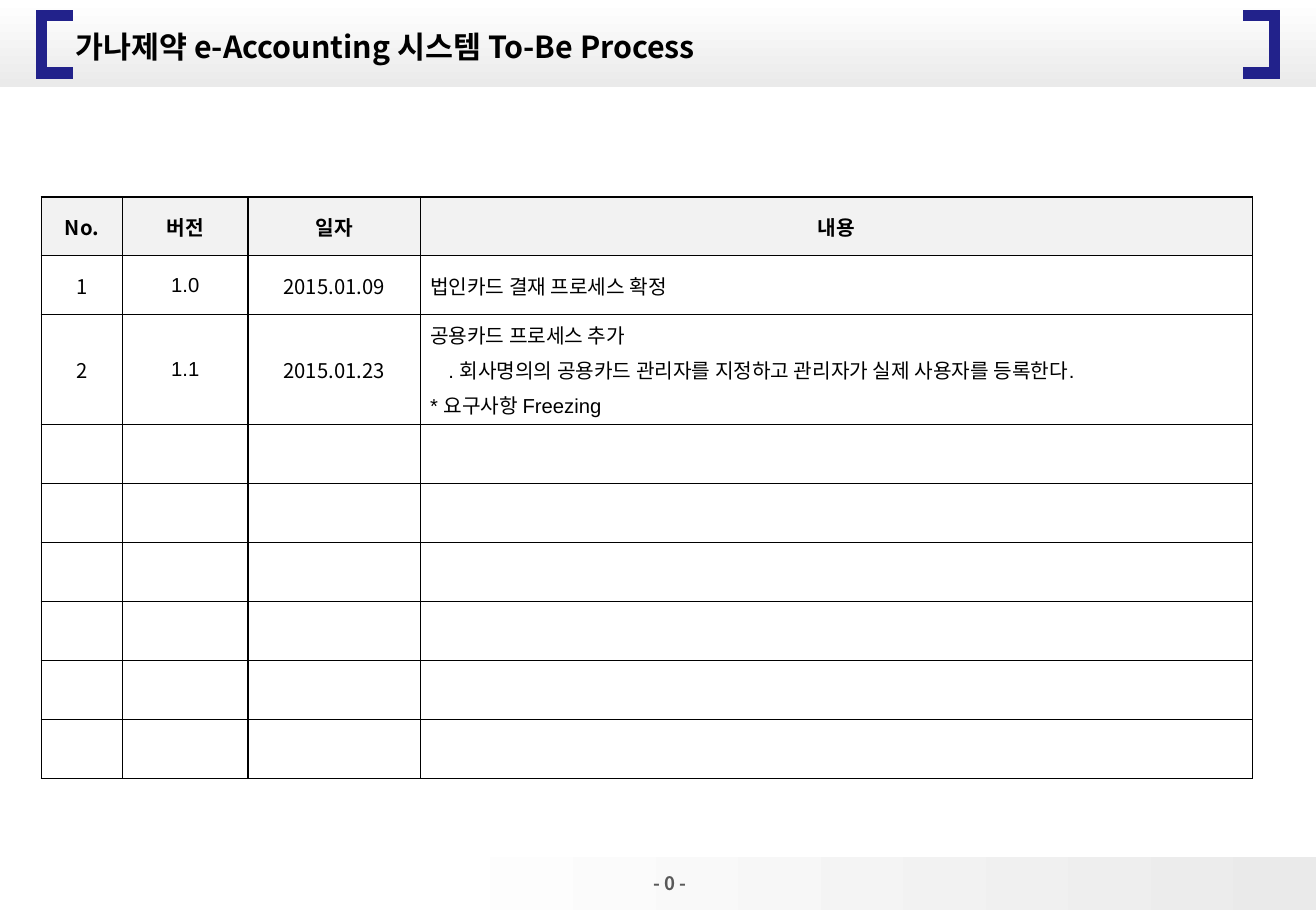
from dataclasses import dataclass

from lxml import etree
from pptx import Presentation
from pptx.dml.color import RGBColor
from pptx.enum.shapes import MSO_SHAPE
from pptx.enum.text import MSO_ANCHOR, MSO_AUTO_SIZE, PP_ALIGN
from pptx.oxml.ns import qn
from pptx.util import Inches, Pt

RECTANGLE = MSO_SHAPE.RECTANGLE
MIDDLE = MSO_ANCHOR.MIDDLE
NO_AUTOFIT = MSO_AUTO_SIZE.NONE
LEFT, CENTER, RIGHT = PP_ALIGN.LEFT, PP_ALIGN.CENTER, PP_ALIGN.RIGHT

TITLE = "가나제약 e-Accounting 시스템 To-Be Process"
PAGE_NUMBER = "- 0 -"
HEADERS = ["No.", "버전", "일자", "내용"]
REVISIONS = [
    ("1", "1.0", "2015.01.09", "법인카드 결재 프로세스 확정"),
    (
        "2",
        "1.1",
        "2015.01.23",
        "공용카드 프로세스 추가\n"
        ". 회사명의의 공용카드 관리자를 지정하고 관리자가 실제 사용자를 등록한다.\n"
        "* 요구사항 Freezing",
    ),
]
ROW_COUNT = 9
COLUMN_WIDTHS = [0.67, 1.03, 1.42, 6.85]
TABLE_LEFT, TABLE_TOP = 0.34, 1.62
ROW_HEIGHT = 4.37 / ROW_COUNT
DETAIL_ROW, DETAIL_HEIGHT = 2, 0.9
SLIDE_WIDTH, SLIDE_HEIGHT = 10.83, 7.5
BRACKETS = [(0.6, 0.34), (10.23, 10.49)]
BRACKET_TOP, BRACKET_BOTTOM = 0.13, 0.6


@dataclass(frozen=True)
class Theme:
    """Colours, fonts and type sizes of the slide."""

    white: str = "FFFFFF"
    gray: str = "EAEAEA"
    header: str = "F2F2F2"
    navy: str = "22228B"
    black: str = "000000"
    page: str = "595959"
    korean: str = "Noto Sans CJK KR"
    latin: str = "Arial"
    title_size: float = 18
    table_size: float = 12
    page_size: float = 11


THEME = Theme()
COLUMN_FONTS = [THEME.korean, THEME.latin, THEME.korean, THEME.latin]


def format_text(paragraph, size, color, font_name, bold, alignment):
    """Format a paragraph and its runs."""
    paragraph.alignment = alignment
    for run in paragraph.runs:
        font = run.font
        font.size, font.bold, font.name = Pt(size), bold, font_name
        font.color.rgb = RGBColor.from_string(color)
        east_asian = etree.SubElement(run._r.get_or_add_rPr(), qn("a:ea"))
        east_asian.set("typeface", THEME.korean)


def add_band(slide, top, height, angle, start):
    """Add a full-width band that fades from white to gray."""
    band = slide.shapes.add_shape(
        RECTANGLE, 0, Inches(top), Inches(SLIDE_WIDTH), Inches(height)
    )
    band.shadow.inherit = False
    band.line.fill.background()
    band.fill.gradient()
    band.fill.gradient_angle = angle
    stops = zip(band.fill.gradient_stops, (start, 1), (THEME.white, THEME.gray))
    for stop, position, color in stops:
        stop.position = position
        stop.color.rgb = RGBColor.from_string(color)


def add_bracket(slide, tip, spine):
    """Add a square bracket opening from its spine towards its tip."""
    points = [
        (Inches(x), Inches(y))
        for x, y in [
            (tip, BRACKET_TOP),
            (spine, BRACKET_TOP),
            (spine, BRACKET_BOTTOM),
            (tip, BRACKET_BOTTOM),
        ]
    ]
    builder = slide.shapes.build_freeform(*points[0])
    builder.add_line_segments(points[1:], close=False)
    bracket = builder.convert_to_shape()
    bracket.shadow.inherit = False
    bracket.fill.background()
    bracket.line.color.rgb = RGBColor.from_string(THEME.navy)
    bracket.line.width = Pt(6.75)
    etree.SubElement(bracket.line._get_or_add_ln(), qn("a:miter")).set("lim", "800000")


def set_borders(cell):
    """Draw a thin black line on every side of a cell."""
    properties = cell._tc.get_or_add_tcPr()
    for index, side in enumerate(("a:lnL", "a:lnR", "a:lnT", "a:lnB")):
        line = etree.Element(qn(side), w=str(Pt(1)))
        fill = etree.SubElement(line, qn("a:solidFill"))
        etree.SubElement(fill, qn("a:srgbClr")).set("val", THEME.black)
        properties.insert(index, line)


def fill_cell(cell, text, is_header, column):
    """Write and format one table cell."""
    cell.margin_left = cell.margin_right = Inches(0.04)
    cell.margin_top = cell.margin_bottom = Inches(0.04)
    cell.vertical_anchor = MIDDLE
    cell.fill.solid()
    cell.fill.fore_color.rgb = RGBColor.from_string(
        THEME.header if is_header else THEME.white
    )
    set_borders(cell)
    cell.text_frame.text = text
    is_content = column == len(HEADERS) - 1 and not is_header
    for index, paragraph in enumerate(cell.text_frame.paragraphs):
        format_text(
            paragraph, THEME.table_size, THEME.black, COLUMN_FONTS[column],
            is_header, LEFT if is_content else CENTER,
        )
        if index:
            paragraph.space_before = Pt(3.6)
        if is_content:
            indent = 0.19 if paragraph.text.startswith(".") else 0.04
            paragraph._p.get_or_add_pPr().set("marL", str(Inches(indent)))


def add_history(slide):
    """Add the revision history table."""
    table = slide.shapes.add_table(
        ROW_COUNT, len(HEADERS), Inches(TABLE_LEFT), Inches(TABLE_TOP),
        Inches(sum(COLUMN_WIDTHS)),
        Inches(ROW_HEIGHT * (ROW_COUNT - 1) + DETAIL_HEIGHT),
    ).table
    table.first_row = table.horz_banding = False
    for column, width in zip(table.columns, COLUMN_WIDTHS):
        column.width = Inches(width)
    records = [HEADERS, *REVISIONS]
    records += [[""] * len(HEADERS)] * (ROW_COUNT - len(records))
    for row_index, record in enumerate(records):
        height = DETAIL_HEIGHT if row_index == DETAIL_ROW else ROW_HEIGHT
        table.rows[row_index].height = Inches(height)
        for column_index, text in enumerate(record):
            cell = table.cell(row_index, column_index)
            fill_cell(cell, text, row_index == 0, column_index)


def set_text(shape, text, size, color, alignment):
    """Write one bold, vertically centred line in a shape."""
    frame = shape.text_frame
    frame.text = text
    frame.word_wrap = True
    frame.auto_size = NO_AUTOFIT
    frame.vertical_anchor = MIDDLE
    frame.margin_top = frame.margin_bottom = 0
    format_text(frame.paragraphs[0], size, color, THEME.korean, True, alignment)


def main():
    """Build and save the slide."""
    presentation = Presentation()
    presentation.slide_width = Inches(SLIDE_WIDTH)
    presentation.slide_height = Inches(SLIDE_HEIGHT)
    slide = presentation.slides.add_slide(presentation.slide_layouts[5])
    add_band(slide, 0, 0.72, 270, 0)
    add_band(slide, 7.06, 0.43, 0, 0.31)
    for tip, spine in BRACKETS:
        add_bracket(slide, tip, spine)
    page = slide.shapes.add_textbox(
        Inches(5.08), Inches(7.17), Inches(0.67), Inches(0.2)
    )
    set_text(page, PAGE_NUMBER, THEME.page_size, THEME.page, RIGHT)
    add_history(slide)
    title = slide.shapes.title
    title.left, title.top = Inches(0.52), Inches(0.2)
    title.width, title.height = Inches(8.75), Inches(0.37)
    set_text(title, TITLE, THEME.title_size, THEME.black, LEFT)
    slide.shapes._spTree.append(title._element)
    presentation.save("out.pptx")


if __name__ == "__main__":
    main()
